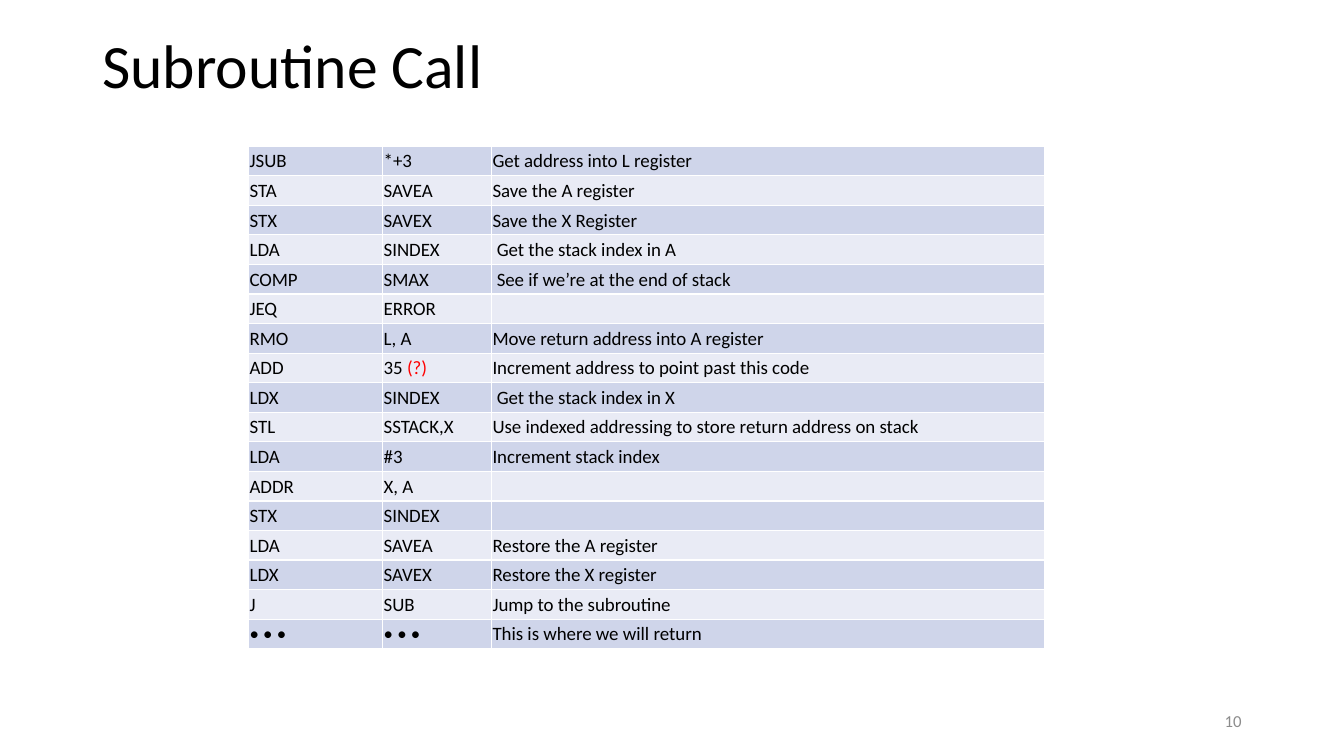
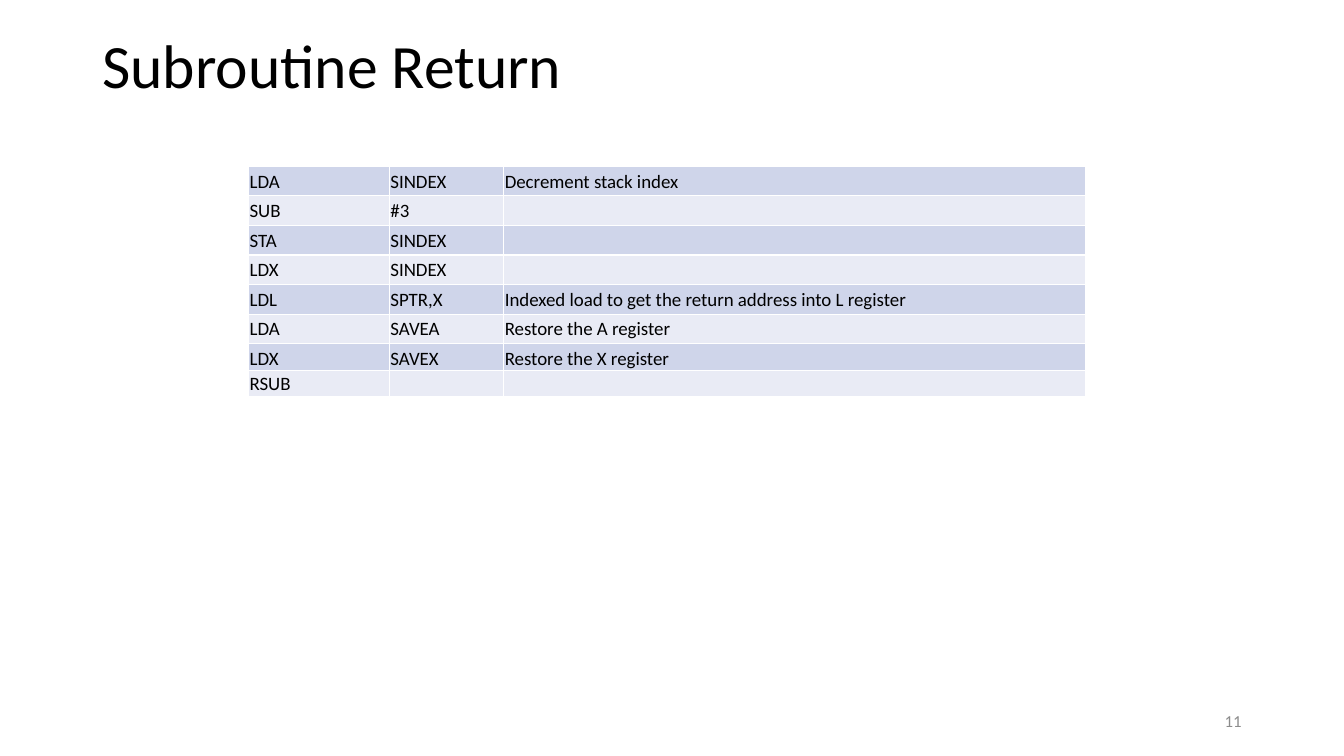
from dataclasses import dataclass

from lxml.etree import SubElement
from pptx import Presentation
from pptx.dml.color import RGBColor
from pptx.enum.text import MSO_ANCHOR, PP_ALIGN
from pptx.oxml.ns import qn
from pptx.util import Inches, Pt

UNIT = Inches(1) // 12
SLIDE_COLUMNS, SLIDE_ROWS = 160, 90


@dataclass(frozen=True)
class Theme:
    """Colours, type sizes and line widths shared by the slides."""
    font: str = "Calibri"
    ink: str = "000000"
    muted: str = "8C8C8C"
    doubt: str = "FF0000"
    border: str = "FFFFFF"
    bands: tuple = ("CFD5EA", "E9EBF5")
    title_size: float = 44
    cell_size: float = 13.5
    number_size: float = 12
    border_width: float = 1


@dataclass(frozen=True)
class Box:
    """A region measured in grid units."""
    left: float
    top: float
    width: float
    height: float = 0

    def lengths(self):
        """Return the region in slide lengths."""
        return [grid(v) for v in (self.left, self.top, self.width, self.height)]


THEME = Theme()
TITLE_BOX = Box(11, 0, 138, 16.2)
NUMBER_BOX = Box(113, 83.4, 36, 4.8)
COLUMN_PARTS = (1.33, 1.08, 5.49)
ROW_HEIGHT = 3.52
DOUBT_MARK = "(?)"

CALL_ROWS = [
    ("JSUB", "*+3", "Get address into L register"),
    ("STA", "SAVEA", "Save the A register"),
    ("STX", "SAVEX", "Save the X Register"),
    ("LDA", "SINDEX", " Get the stack index in A"),
    ("COMP", "SMAX", " See if we’re at the end of stack"),
    ("JEQ", "ERROR", ""),
    ("RMO", "L, A", "Move return address into A register"),
    ("ADD", "35 (?)", "Increment address to point past this code"),
    ("LDX", "SINDEX", " Get the stack index in X"),
    ("STL", "SSTACK,X", "Use indexed addressing to store return address on stack"),
    ("LDA", "#3", "Increment stack index"),
    ("ADDR", "X, A", ""),
    ("STX", "SINDEX", ""),
    ("LDA", "SAVEA", "Restore the A register"),
    ("LDX", "SAVEX", "Restore the X register"),
    ("J", "SUB", "Jump to the subroutine"),
    ("• • •", "• • •", "This is where we will return"),
]
RETURN_ROWS = [
    ("LDA", "SINDEX", "Decrement stack index"),
    ("SUB", "#3", ""),
    ("STA", "SINDEX", ""),
    ("LDX", "SINDEX", ""),
    ("LDL", "SPTR,X", "Indexed load to get the return address into L register"),
    ("LDA", "SAVEA", "Restore the A register"),
    ("LDX", "SAVEX", "Restore the X register"),
    ("RSUB", "", ""),
]


def grid(units):
    """Turn grid units into a slide length."""
    return round(units * UNIT)


def style_run(run, size, color):
    """Apply the theme font with a size and colour to a run."""
    run.font.name = THEME.font
    run.font.size = Pt(size)
    run.font.color.rgb = RGBColor.from_string(color)


def add_label(page, box, text, size, color, align=PP_ALIGN.LEFT, spacing=1.0):
    """Place one vertically centred line of text in the box."""
    frame = page.shapes.add_textbox(*box.lengths()).text_frame
    frame.word_wrap = True
    frame.vertical_anchor = MSO_ANCHOR.MIDDLE
    frame.text = text
    para = frame.paragraphs[0]
    para.alignment = align
    para.line_spacing = spacing
    style_run(para.runs[0], size, color)


def set_borders(cell):
    """Draw the theme border on the four sides of a cell."""
    properties = cell._tc.get_or_add_tcPr()
    for index, side in enumerate(("lnL", "lnR", "lnT", "lnB")):
        line = properties.makeelement(qn(f"a:{side}"), {"w": str(Pt(THEME.border_width))})
        fill = SubElement(line, qn("a:solidFill"))
        SubElement(fill, qn("a:srgbClr"), val=THEME.border)
        properties.insert(index, line)


def fill_cell(cell, text, band, anchor):
    """Write a code cell, with its doubt mark set in the warning colour."""
    cell.margin_left = cell.margin_right = cell.margin_top = Inches(0.01)
    cell.margin_bottom = 0
    cell.vertical_anchor = anchor
    cell.fill.solid()
    cell.fill.fore_color.rgb = RGBColor.from_string(band)
    set_borders(cell)
    para = cell.text_frame.paragraphs[0]
    plain, mark, _ = text.partition(DOUBT_MARK)
    for part, color in ((plain, THEME.ink), (mark, THEME.doubt)):
        if part:
            span = para.add_run()
            span.text = part
            style_run(span, THEME.cell_size, color)
    if not text:
        SubElement(para._p, qn("a:endParaRPr"), sz=str(round(THEME.cell_size * 100)))


def add_code_table(page, box, rows, short_rows):
    """Place a banded code table; short rows map an index to height and anchor."""
    heights = [short_rows.get(i, (ROW_HEIGHT, MSO_ANCHOR.MIDDLE)) for i in range(len(rows))]
    area = Box(box.left, box.top, box.width, sum(height for height, _ in heights))
    table = page.shapes.add_table(len(rows), len(COLUMN_PARTS), *area.lengths()).table
    table.first_row = table.horz_banding = False
    for column, part in zip(table.columns, COLUMN_PARTS):
        column.width = grid(box.width * part / sum(COLUMN_PARTS))
    for index, (values, (height, anchor)) in enumerate(zip(rows, heights)):
        table.rows[index].height = grid(height)
        for cell, text in zip(table.rows[index].cells, values):
            fill_cell(cell, text, THEME.bands[index % 2], anchor)


def add_code_slide(deck, title, number, box, rows, short_rows):
    """Add a slide with a title, a code table and a slide number."""
    page = deck.slides.add_slide(deck.slide_layouts[6])
    add_label(page, TITLE_BOX, title, THEME.title_size, THEME.ink, spacing=0.9)
    add_code_table(page, box, rows, short_rows)
    add_label(page, NUMBER_BOX, str(number), THEME.number_size, THEME.muted, PP_ALIGN.RIGHT)


def main():
    """Build and save the deck."""
    deck = Presentation()
    deck.slide_width, deck.slide_height = grid(SLIDE_COLUMNS), grid(SLIDE_ROWS)
    add_code_slide(deck, "Subroutine Call", 10, Box(29.6, 17.4, 94.8), CALL_ROWS, {})
    add_code_slide(deck, "Subroutine Return", 11, Box(29.6, 19.8, 99.6), RETURN_ROWS,
                   {6: (3.2, MSO_ANCHOR.BOTTOM), 7: (3.15, MSO_ANCHOR.MIDDLE)})
    deck.save("out.pptx")


if __name__ == "__main__":
    main()
